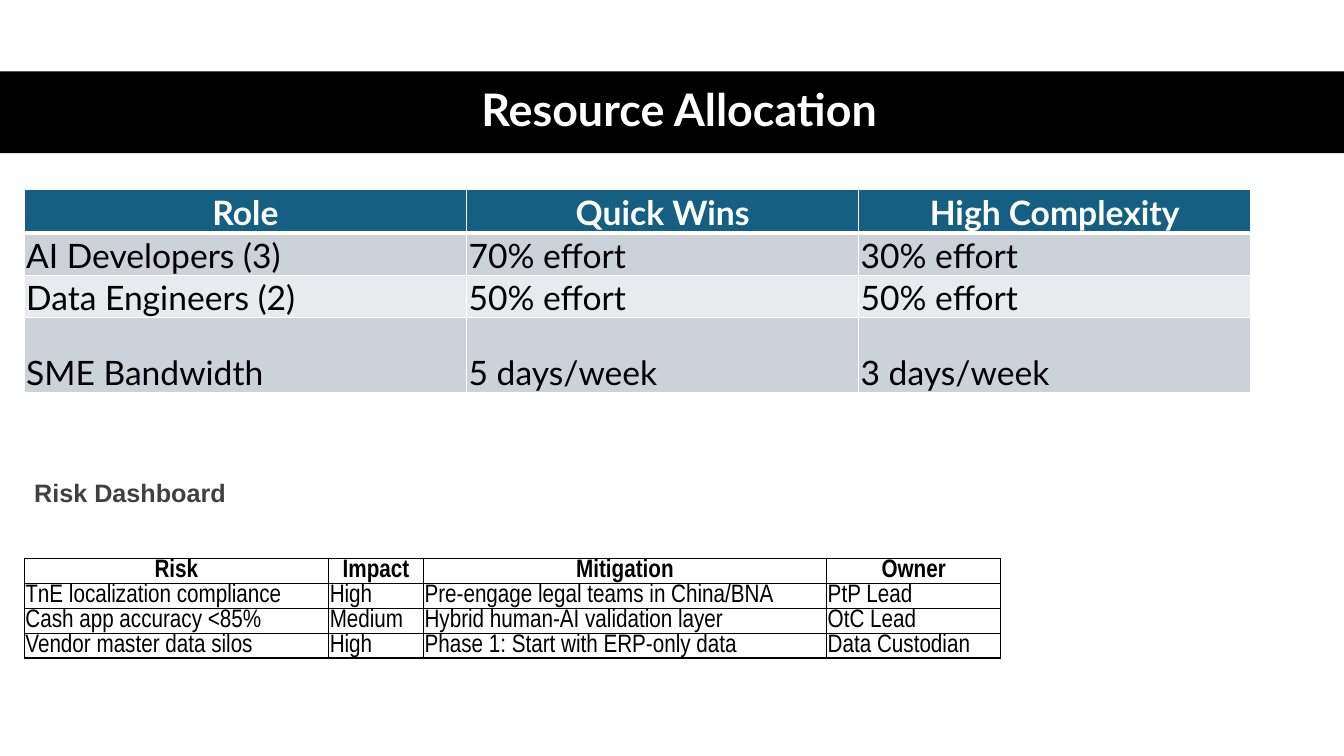
from dataclasses import dataclass
from typing import Any

import pptx
import pptx.dml.color
import pptx.enum.shapes
import pptx.enum.text
import pptx.oxml
import pptx.oxml.ns
import pptx.util

Cm = pptx.util.Cm
Align = pptx.enum.text.PP_ALIGN
Anchor = pptx.enum.text.MSO_ANCHOR


@dataclass(frozen=True)
class Theme:
    black: str = "000000"
    white: str = "FFFFFF"
    gray: str = "404040"
    teal: str = "156082"
    bands: tuple[str, str] = ("CCD2D8", "E8EAED")
    main: str = "Lato"
    label: str = "Arial"
    narrow: str = "Arial Narrow"
    title: int = 32
    large: int = 24
    small: int = 18


@dataclass(frozen=True)
class Grid:
    left: float
    top: float
    cols: list[float]
    rows: list[float]
    cells: list[list[str]]
    font: str
    size: int
    inset: float
    line: str
    head: str  # header text colour
    rule: int  # line under the header, in points
    fill: str | None = None
    bands: tuple[str, ...] = ()


THEME = Theme()

ROLES = Grid(
    left=0.61, top=4.78,
    cols=[11.15, 9.88, 9.88],
    rows=[1.09, 0.86, 0.91, 1.88],
    cells=[
        ["Role", "Quick Wins", "High Complexity"],
        ["AI Developers (3)", "70% effort", "30% effort"],
        ["Data Engineers (2)", "50% effort", "50% effort"],
        ["SME Bandwidth", "5 days/week", "3 days/week"],
    ],
    font=THEME.main, size=THEME.large, inset=0.05,
    line=THEME.white, head=THEME.white, rule=3,
    fill=THEME.teal, bands=THEME.bands,
)

RISKS = Grid(
    left=0.61, top=14.07,
    cols=[7.67, 2.39, 10.16, 4.39],
    rows=[0.51, 0.33, 0.51, 0.51],
    cells=[
        ["Risk", "Impact", "Mitigation", "Owner"],
        ["TnE localization compliance", "High",
         "Pre-engage legal teams in China/BNA", "PtP Lead"],
        ["Cash app accuracy <85%", "Medium",
         "Hybrid human-AI validation layer", "OtC Lead"],
        ["Vendor master data silos", "High",
         "Phase 1: Start with ERP-only data", "Data Custodian"],
    ],
    font=THEME.narrow, size=THEME.small, inset=0.03,
    line=THEME.black, head=THEME.black, rule=1,
)


def color(code: str) -> pptx.dml.color.RGBColor:
    return pptx.dml.color.RGBColor.from_string(code)


def write(frame: Any, text: str, *, font: str, size: int, ink: str,
          bold: bool = False, align: Any = Align.LEFT,
          space: float | None = None) -> None:
    par = frame.paragraphs[0]
    par.alignment = align
    par.line_spacing = space
    run = par.add_run()
    run.text = text
    run.font.name = font
    run.font.size = pptx.util.Pt(size)
    run.font.bold = bold
    run.font.color.rgb = color(ink)


def border(cell: Any, ink: str, top: int, base: int) -> None:
    props = cell._tc.get_or_add_tcPr()
    sides = {"L": 1, "R": 1, "T": top, "B": base}
    for spot, (side, width) in enumerate(sides.items()):
        props.insert(spot, pptx.oxml.parse_xml(
            f'<a:ln{side} {pptx.oxml.ns.nsdecls("a")} w="{pptx.util.Pt(width)}">'
            f'<a:solidFill><a:srgbClr val="{ink}"/></a:solidFill></a:ln{side}>'))


def paint(cell: Any, fill: str | None) -> None:
    if fill:
        cell.fill.solid()
        cell.fill.fore_color.rgb = color(fill)
    else:
        cell.fill.background()


def draw(slide: Any, grid: Grid) -> None:
    table = slide.shapes.add_table(
        len(grid.rows), len(grid.cols), Cm(grid.left), Cm(grid.top),
        Cm(sum(grid.cols)), Cm(sum(grid.rows))).table
    for col, width in zip(table.columns, grid.cols):
        col.width = Cm(width)
    for row, height in zip(table.rows, grid.rows):
        row.height = Cm(height)
    for r, line in enumerate(grid.cells):
        head = r == 0
        band = grid.bands[(r - 1) % len(grid.bands)] if grid.bands else None
        for c, text in enumerate(line):
            cell = table.cell(r, c)
            cell.margin_left = cell.margin_right = cell.margin_top = Cm(grid.inset)
            cell.margin_bottom = 0
            cell.vertical_anchor = Anchor.MIDDLE if head else Anchor.BOTTOM
            write(cell.text_frame, text, font=grid.font, size=grid.size,
                  ink=grid.head if head else THEME.black, bold=head,
                  align=Align.CENTER if head else Align.LEFT)
            paint(cell, grid.fill if head else band)
            border(cell, grid.line, top=grid.rule if r == 1 else 1,
                   base=grid.rule if head else 1)


def main() -> None:
    deck = pptx.Presentation()
    deck.slide_width, deck.slide_height = Cm(33.87), Cm(19.05)
    slide = deck.slides.add_slide(deck.slide_layouts[5])

    # Title band, placed behind the title
    band = slide.shapes.add_shape(
        pptx.enum.shapes.MSO_SHAPE.RECTANGLE, 0, Cm(1.8), deck.slide_width, Cm(2.06))
    band.shadow.inherit = False
    band.fill.solid()
    band.fill.fore_color.rgb = color(THEME.black)
    band.line.fill.background()
    slide.shapes._spTree.insert(2, band._element)

    # Title
    title = slide.shapes.title
    title.left, title.top = Cm(1.55), Cm(1.78)
    title.width, title.height = Cm(31.14), Cm(2.06)
    title.text_frame.auto_size = pptx.enum.text.MSO_AUTO_SIZE.NONE
    title.text_frame.vertical_anchor = Anchor.MIDDLE
    write(title.text_frame, "Resource Allocation", font=THEME.main,
          size=THEME.title, ink=THEME.white, bold=True,
          align=Align.CENTER, space=0.9)

    # Tables
    for grid in (ROLES, RISKS):
        draw(slide, grid)

    # Label above the risks
    label = slide.shapes.add_textbox(Cm(0.61), Cm(11.91), Cm(16.94), Cm(1.02))
    label.text_frame.word_wrap = True
    label.text_frame.auto_size = pptx.enum.text.MSO_AUTO_SIZE.SHAPE_TO_FIT_TEXT
    write(label.text_frame, "Risk Dashboard", font=THEME.label,
          size=THEME.small, ink=THEME.gray, bold=True)

    deck.save("out.pptx")


if __name__ == "__main__":
    main()
